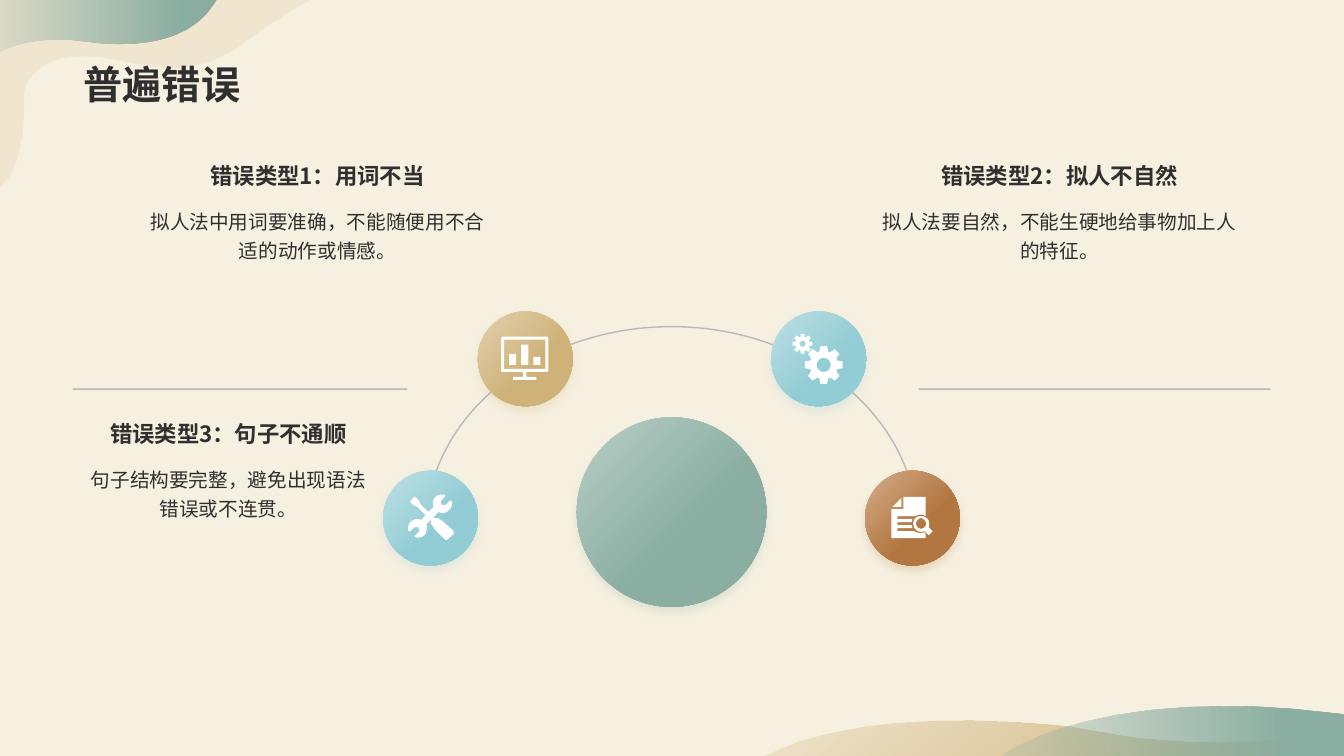
"""Build the slide on common mistakes, with four badges on an arc."""
from dataclasses import dataclass
from math import cos, radians, sin

from lxml import etree
from pptx import Presentation
from pptx import util as u
from pptx.dml.color import RGBColor
from pptx.enum import shapes, text
from pptx.oxml import ns


@dataclass(frozen=True)
class Theme:
    font: str = "Noto Sans CJK SC"
    paper: str = "F6F0E0"
    ink: str = "2F2F2F"
    rule: str = "778495"
    white: str = "FFFFFF"
    green: str = "8AAEA2"
    pale_green: str = "B9CEC7"
    blue: str = "92CCD4"
    pale_blue: str = "BEE0E5"
    gold: str = "CFB278"
    pale_gold: str = "E2D1AE"
    brown: str = "B27640"
    pale_brown: str = "D4AD89"
    title_size: int = 28
    heading_size: int = 16
    body_size: int = 14


THEME = Theme()

GOLD_WAVE = """M 9.56 7.15 C 9.89 7.15 10.38 7.17 10.7 7.22 C 11.03 7.27 11.79 7.46 13.19 7.28
L 13.33 7.26 L 13.33 7.5 L 7.57 7.5 C 7.65 7.45 8.23 7.14 9.56 7.15"""
GREEN_WAVE = """M 12.19 7.01 C 12.47 7.01 12.79 7.03 13.13 7.07 L 13.33 7.09 L 13.33 7.5
L 9.93 7.5 C 10.03 7.43 10.68 7 12.19 7.01"""
GOLD_CORNER = """M -0.02 1.86 C -0.02 1.86 0.26 1.77 0.24 0.94 C 0.24 0.85 0.36 0.44 1.14 0.59
C 1.57 0.69 1.99 0.8 2.55 0.33 C 2.63 0.26 3.08 0 3.08 0 L 0 0"""
GREEN_CORNER = """M -0.01 0 L 2.15 0 L 2.11 0.06 C 1.9 0.38 1.43 0.49 0.85 0.41
C 0.42 0.35 0.14 0.44 0.01 0.51 L -0.01 0.52"""
TOOLS = """M 4.5 5.27 L 4.39 5.17 L 4.34 5.14 L 4.31 5.14 L 4.3 5.13 L 4.35 5.08
C 4.39 5.1 4.43 5.09 4.45 5.06 C 4.48 5.04 4.49 5 4.48 4.97 L 4.46 4.97 L 4.42 5.01
L 4.38 5.01 L 4.37 4.97 L 4.42 4.92 L 4.41 4.91 C 4.38 4.9 4.34 4.91 4.32 4.93
C 4.29 4.96 4.29 5 4.3 5.03 L 4.25 5.08 L 4.17 5 L 4.15 4.96 L 4.12 4.93 L 4.11 4.93
L 4.07 4.97 L 4.07 4.98 L 4.1 5.01 L 4.14 5.03 L 4.22 5.11 L 4.18 5.16
C 4.14 5.14 4.1 5.15 4.07 5.18 C 4.05 5.2 4.04 5.24 4.05 5.27 L 4.07 5.27 L 4.11 5.23
L 4.15 5.23 L 4.16 5.27 L 4.11 5.32 L 4.12 5.33 C 4.15 5.34 4.19 5.33 4.21 5.31
C 4.23 5.29 4.24 5.24 4.23 5.2 L 4.27 5.16 L 4.28 5.17 L 4.27 5.19 L 4.3 5.23 L 4.31 5.25
L 4.41 5.35 C 4.42 5.36 4.43 5.36 4.44 5.35 L 4.5 5.3"""
MONITOR = """M 5.29 3.54 L 5.36 3.54 L 5.36 3.62 L 5.29 3.62
M 5.05 3.51 L 5.12 3.51 L 5.12 3.62 L 5.05 3.62
M 5.17 3.42 L 5.24 3.42 L 5.24 3.62 L 5.17 3.62
M 5 3.37 L 5 3.66 L 5.41 3.66 L 5.41 3.37
M 4.98 3.34 L 5.43 3.34 L 5.44 3.36 L 5.44 3.68 L 5.43 3.69 L 5.22 3.69 L 5.22 3.74
L 5.32 3.74 L 5.32 3.77 L 5.09 3.77 L 5.09 3.74 L 5.19 3.74 L 5.19 3.69 L 4.98 3.69
L 4.97 3.68 L 4.97 3.36"""
REPORT = """M 9.13 5.14 C 9.12 5.14 9.11 5.15 9.1 5.16 C 9.08 5.18 9.08 5.21 9.1 5.23
C 9.12 5.25 9.15 5.25 9.17 5.23 C 9.19 5.21 9.19 5.18 9.17 5.16 C 9.16 5.15 9.15 5.14 9.13 5.14
M 9.13 5.12 C 9.16 5.12 9.18 5.13 9.19 5.14 C 9.22 5.16 9.22 5.2 9.21 5.23 L 9.25 5.27
L 9.21 5.31 L 9.17 5.27 C 9.14 5.28 9.1 5.28 9.08 5.25 C 9.05 5.22 9.05 5.17 9.08 5.14
C 9.09 5.13 9.11 5.12 9.13 5.12 M 8.94 4.94 L 8.94 5.03 L 8.85 5.03
M 8.96 4.93 L 9.18 4.93 L 9.18 5.12 C 9.15 5.1 9.11 5.1 9.08 5.12 L 8.9 5.12 L 8.9 5.15
L 9.05 5.15 L 9.04 5.18 L 8.9 5.18 L 8.9 5.21 L 9.04 5.21 L 9.05 5.24 L 8.9 5.24 L 8.9 5.27
L 9.07 5.27 C 9.09 5.29 9.14 5.29 9.17 5.28 L 9.18 5.3 L 9.18 5.34 L 8.84 5.34 L 8.84 5.05
L 8.96 5.05"""


def contours(outline, steps=10):
    result = []
    for part in outline.replace("M", "|M").replace("L", "|L").replace("C", "|C").split("|")[1:]:
        numbers = [float(word) for word in part[1:].split()]
        points = list(zip(numbers[::2], numbers[1::2]))
        if part[0] == "M":
            result.append(points)
        elif part[0] == "L":
            result[-1] += points
        else:
            curve = [result[-1][-1], *points]
            for step in range(1, steps + 1):
                t = step / steps
                weights = ((1 - t) ** 3, 3 * t * (1 - t) ** 2, 3 * t * t * (1 - t), t ** 3)
                result[-1].append(tuple(
                    sum(weight * point[axis] for weight, point in zip(weights, curve))
                    for axis in (0, 1)))
    return result


def gear(x, y, tip, root, hole, teeth=8):
    def polar(radius, angle):
        return x + radius * cos(radians(angle)), y + radius * sin(radians(angle))

    profile = ((-18, root), (-10, tip), (10, tip), (18, root))
    rim = [polar(radius, 360 / teeth * tooth + offset)
           for tooth in range(teeth) for offset, radius in profile]
    return [rim, [polar(hole, angle) for angle in range(0, 360, 15)]]


def set_alpha(element, percent):
    for color in element.iter(ns.qn("a:srgbClr")):
        etree.SubElement(color, ns.qn("a:alpha"), val=str(percent * 1000))


def write(para, words, size, bold=False, align=text.PP_ALIGN.CENTER, spacing=1.0):
    para.alignment = align
    para.line_spacing = spacing
    span = para.add_run()
    span.text = words
    span.font.size = u.Pt(size)
    span.font.bold = bold
    span.font.color.rgb = RGBColor.from_string(THEME.ink)
    span.font.name = THEME.font
    etree.SubElement(span.font._element, ns.qn("a:ea"), typeface=THEME.font)


class Canvas:
    def __init__(self, page, theme):
        self.page, self.theme = page, theme
        page.background.fill.solid()
        page.background.fill.fore_color.rgb = RGBColor.from_string(theme.paper)

    def solid(self, shape, color):
        shape.fill.solid()
        shape.fill.fore_color.rgb = RGBColor.from_string(color)

    def gradient(self, shape, start, end, stop_at, angle, start_alpha=100):
        shape.fill.gradient()
        shape.fill.gradient_angle = (360 - angle) % 360
        for stop, color, position in zip(shape.fill.gradient_stops, (start, end), (0, stop_at)):
            stop.color.rgb = RGBColor.from_string(color)
            stop.position = position
        if start_alpha < 100:
            set_alpha(next(shape._element.iter(ns.qn("a:gs"))), start_alpha)

    def outline(self, parts):
        parts = [[(u.Inches(x), u.Inches(y)) for x, y in part] for part in parts]
        builder = self.page.shapes.build_freeform(*parts[0][0], scale=1.0)
        for number, part in enumerate(parts):
            if number:
                builder.move_to(*part[0])
            builder.add_line_segments(part[1:], close=True)
        shape = builder.convert_to_shape()
        shape.line.fill.background()
        shape.shadow.inherit = False
        return shape

    def wave(self, outline, color, stop_at, angle):
        self.gradient(self.outline(contours(outline)), color, color, stop_at, angle, 20)

    def icon(self, parts):
        self.solid(self.outline(parts), self.theme.white)

    def preset(self, kind, left, top, width, height):
        shape = self.page.shapes.add_shape(kind, *map(u.Inches, (left, top, width, height)))
        shape.shadow.inherit = False
        return shape

    def disc(self, left, top, size, light, dark):
        shape = self.preset(shapes.MSO_SHAPE.OVAL, left, top, size, size)
        shape.line.fill.background()
        self.gradient(shape, light, dark, 0.6, 45)
        effects = shape._element.spPr.find(ns.qn("a:effectLst"))
        shadow = etree.SubElement(effects, ns.qn("a:outerShdw"), blurRad=str(u.Pt(6)),
                                  dist=str(u.Pt(4)), dir="5400000", algn="t", rotWithShape="0")
        etree.SubElement(shadow, ns.qn("a:srgbClr"), val=dark)
        set_alpha(shadow, 20)

    def stroke(self, shape):
        shape.line.width = u.Pt(1)
        shape.line.color.rgb = RGBColor.from_string(self.theme.rule)
        set_alpha(shape._element.spPr.find(ns.qn("a:ln")), 50)

    def arc(self, left, top, width, height):
        shape = self.preset(shapes.MSO_SHAPE.ARC, left, top, width, height)
        shape.adjustments[0], shape.adjustments[1] = 108, 0.21
        shape.fill.background()
        self.stroke(shape)

    def rule(self, left, right, y):
        line = self.page.shapes.add_connector(
            shapes.MSO_CONNECTOR.STRAIGHT, *map(u.Inches, (left, y, right, y)))
        self.stroke(line)
        etree.SubElement(line._element.spPr, ns.qn("a:effectLst"))

    def textbox(self, words, left, top, width, height, anchor, **style):
        box = self.page.shapes.add_textbox(*map(u.Inches, (left, top, width, height)))
        frame = box.text_frame
        frame.word_wrap = True
        frame.auto_size = text.MSO_AUTO_SIZE.SHAPE_TO_FIT_TEXT
        frame.vertical_anchor = anchor
        write(frame.paragraphs[0], words, **style)

    def mistake(self, heading, advice, left, top, width):
        self.textbox(heading, left, top, width, 0.37, text.MSO_ANCHOR.BOTTOM,
                     size=self.theme.heading_size, bold=True)
        self.textbox(advice, left, top + 0.44, width, 0.38, text.MSO_ANCHOR.TOP,
                     size=self.theme.body_size, spacing=1.2)

    def title(self, words):
        box = self.page.shapes.title
        box.left, box.top, box.width, box.height = map(u.Inches, (0.73, 0, 11.87, 1.12))
        box.text_frame.auto_size = text.MSO_AUTO_SIZE.NONE
        box.text_frame.vertical_anchor = text.MSO_ANCHOR.BOTTOM
        write(box.text_frame.paragraphs[0], words, size=self.theme.title_size, bold=True,
              align=text.PP_ALIGN.LEFT, spacing=0.9)
        self.page.shapes._spTree.append(box._element)


def main():
    deck = Presentation()
    deck.slide_width, deck.slide_height = u.Inches(13.33), u.Inches(7.5)
    canvas = Canvas(deck.slides.add_slide(deck.slide_layouts[5]), THEME)
    canvas.wave(GOLD_WAVE, THEME.gold, 1, 50)
    canvas.wave(GREEN_WAVE, THEME.green, 0.85, 0)
    corner = canvas.outline(contours(GOLD_CORNER))
    canvas.solid(corner, THEME.gold)
    set_alpha(corner._element.spPr, 15)
    canvas.wave(GREEN_CORNER, THEME.green, 0.85, 0)
    canvas.disc(5.72, 4.14, 1.88, THEME.pale_green, THEME.green)
    canvas.arc(4.22, 3.24, 4.88, 4.05)
    canvas.rule(0.72, 4.04, 3.86)
    canvas.rule(9.11, 12.6, 3.86)
    gears = gear(8.17, 3.62, 0.19, 0.14, 0.07) + gear(7.96, 3.41, 0.1, 0.07, 0.03)
    for left, top, light, dark, icon in (
            (3.8, 4.67, THEME.pale_blue, THEME.blue, contours(TOOLS)),
            (4.74, 3.09, THEME.pale_gold, THEME.gold, contours(MONITOR)),
            (7.65, 3.09, THEME.pale_blue, THEME.blue, gears),
            (8.58, 4.67, THEME.pale_brown, THEME.brown, contours(REPORT))):
        canvas.disc(left, top, 0.94, light, dark)
        canvas.icon(icon)
    for mistake in (
            ("错误类型1：用词不当", "拟人法中用词要准确，不能随便用不合适的动作或情感。", 1.33, 1.55, 3.64),
            ("错误类型2：拟人不自然", "拟人法要自然，不能生硬地给事物加上人的特征。", 8.58, 1.55, 3.86),
            ("错误类型3：句子不通顺", "句子结构要完整，避免出现语法错误或不连贯。", 0.72, 4.11, 3.09)):
        canvas.mistake(*mistake)
    canvas.title("普遍错误")
    deck.save("out.pptx")


if __name__ == "__main__":
    main()
